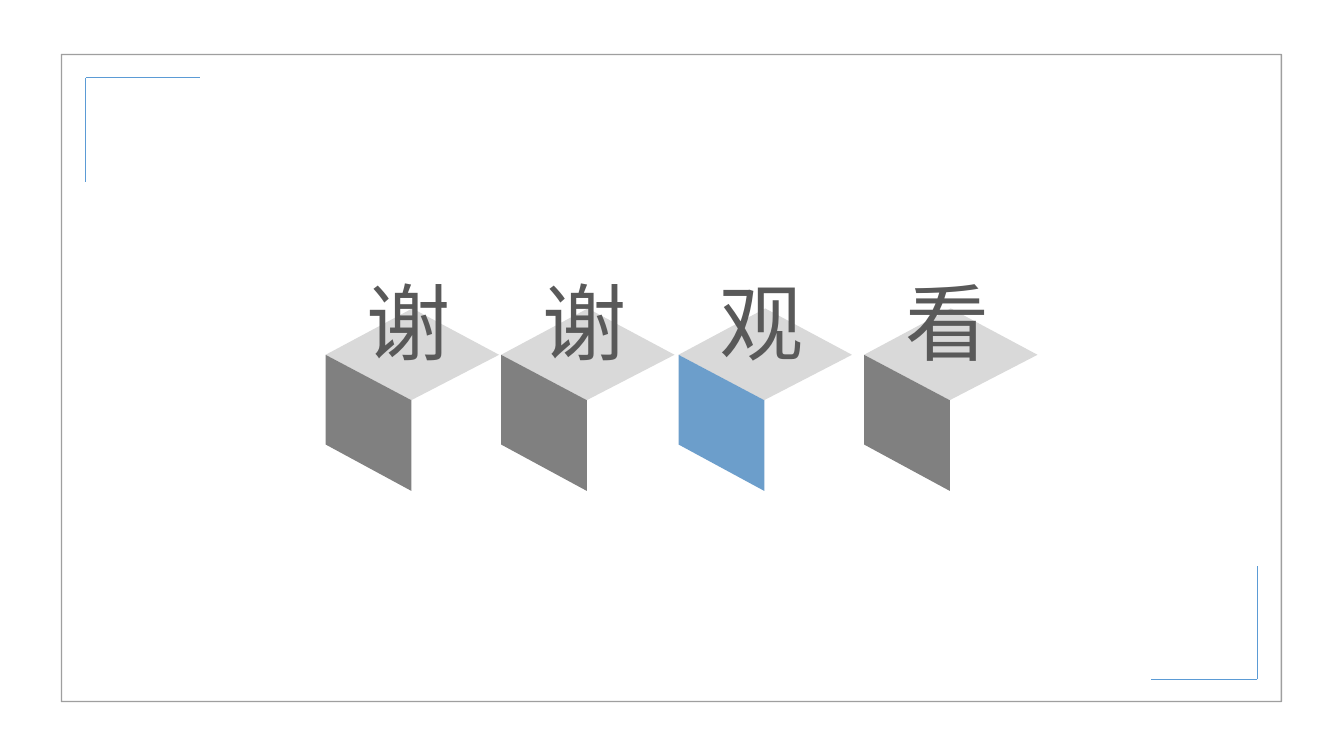
from dataclasses import dataclass

from lxml.etree import SubElement
from pptx import Presentation
from pptx.dml.color import RGBColor
from pptx.enum.shapes import MSO_CONNECTOR, MSO_SHAPE
from pptx.enum.text import MSO_AUTO_SIZE
from pptx.oxml.ns import qn
from pptx.util import Inches, Pt


@dataclass(frozen=True)
class Theme:
    font: str = "Noto Sans CJK SC"
    text: str = "595959"
    top: str = "D9D9D9"
    side: str = "808080"
    accent: str = "2E75B6"
    frame: str = "262626"
    corner: str = "5B9BD5"
    letter_size: float = 60
    frame_width: float = 1
    corner_width: float = 0.5


def set_alpha(shape, percent):
    for color in shape.element.spPr.iter(qn("a:srgbClr")):
        SubElement(color, qn("a:alpha")).set("val", str(percent * 1000))


def write_text(box, text, *, font, size, color):
    frame = box.text_frame
    frame.word_wrap = True
    frame.auto_size = MSO_AUTO_SIZE.SHAPE_TO_FIT_TEXT
    span = frame.paragraphs[0].add_run()
    span.text = text
    span.font.size = Pt(size)
    span.font.color.rgb = RGBColor.from_string(color)
    span.font.name = font
    properties = span.font._element
    SubElement(properties, qn("a:ea")).set("typeface", font)


class Slide:
    """Draws themed elements on one page."""

    def __init__(self, page, theme):
        self.shapes = page.shapes
        self.theme = theme

    def face(self, group, points, color, alpha=100):
        corners = [(Inches(x), Inches(y)) for x, y in points]
        builder = group.shapes.build_freeform(*corners[0])
        builder.add_line_segments(corners[1:], close=True)
        shape = builder.convert_to_shape()
        shape.shadow.inherit = False
        shape.fill.solid()
        shape.fill.fore_color.rgb = RGBColor.from_string(color)
        shape.line.fill.background()
        if alpha < 100:
            set_alpha(shape, alpha)

    def cube(self, letter, left, color, alpha):
        group = self.shapes.add_group_shape()
        middle = left + 0.85
        edge = [(left, 3.52), (middle, 3.97)]
        self.face(group, [(left + 0.86, 3.06), (left + 1.72, 3.52), *reversed(edge)],
                  self.theme.top)
        self.face(group, [*edge, (middle, 4.87), (left, 4.41)], color, alpha)
        box = group.shapes.add_textbox(
            Inches(left + 0.31), Inches(2.63), Inches(1.1), Inches(1.11))
        write_text(box, letter, font=self.theme.font,
                   size=self.theme.letter_size, color=self.theme.text)

    def frame(self, left, top, width, height):
        shape = self.shapes.add_shape(
            MSO_SHAPE.RECTANGLE, Inches(left), Inches(top), Inches(width), Inches(height))
        shape.shadow.inherit = False
        shape.fill.background()
        shape.line.color.rgb = RGBColor.from_string(self.theme.frame)
        shape.line.width = Pt(self.theme.frame_width)
        set_alpha(shape, 43)

    def line(self, start, end):
        connector = self.shapes.add_connector(
            MSO_CONNECTOR.STRAIGHT, *map(Inches, (*start, *end)))
        connector.line.color.rgb = RGBColor.from_string(self.theme.corner)
        connector.line.width = Pt(self.theme.corner_width)
        SubElement(connector.element.spPr, qn("a:effectLst"))

    def corner(self, x, y, across, down):
        self.line((x, y), (x, y + down))
        self.line((x + across, y), (x, y))


def main():
    deck = Presentation()
    deck.slide_width, deck.slide_height = Inches(13.33), Inches(7.5)
    theme = Theme()
    slide = Slide(deck.slides.add_slide(deck.slide_layouts[6]), theme)
    cubes = [
        ("谢", 3.23, theme.side, 100),
        ("谢", 4.97, theme.side, 100),
        ("观", 6.73, theme.accent, 70),
        ("看", 8.57, theme.side, 100),
    ]
    for letter, left, color, alpha in cubes:
        slide.cube(letter, left, color, alpha)
    slide.frame(0.61, 0.54, 12.1, 6.42)
    slide.corner(0.85, 0.77, across=1.13, down=1.04)
    slide.corner(12.47, 6.74, across=-1.05, down=-1.12)
    deck.save("out.pptx")


if __name__ == "__main__":
    main()
